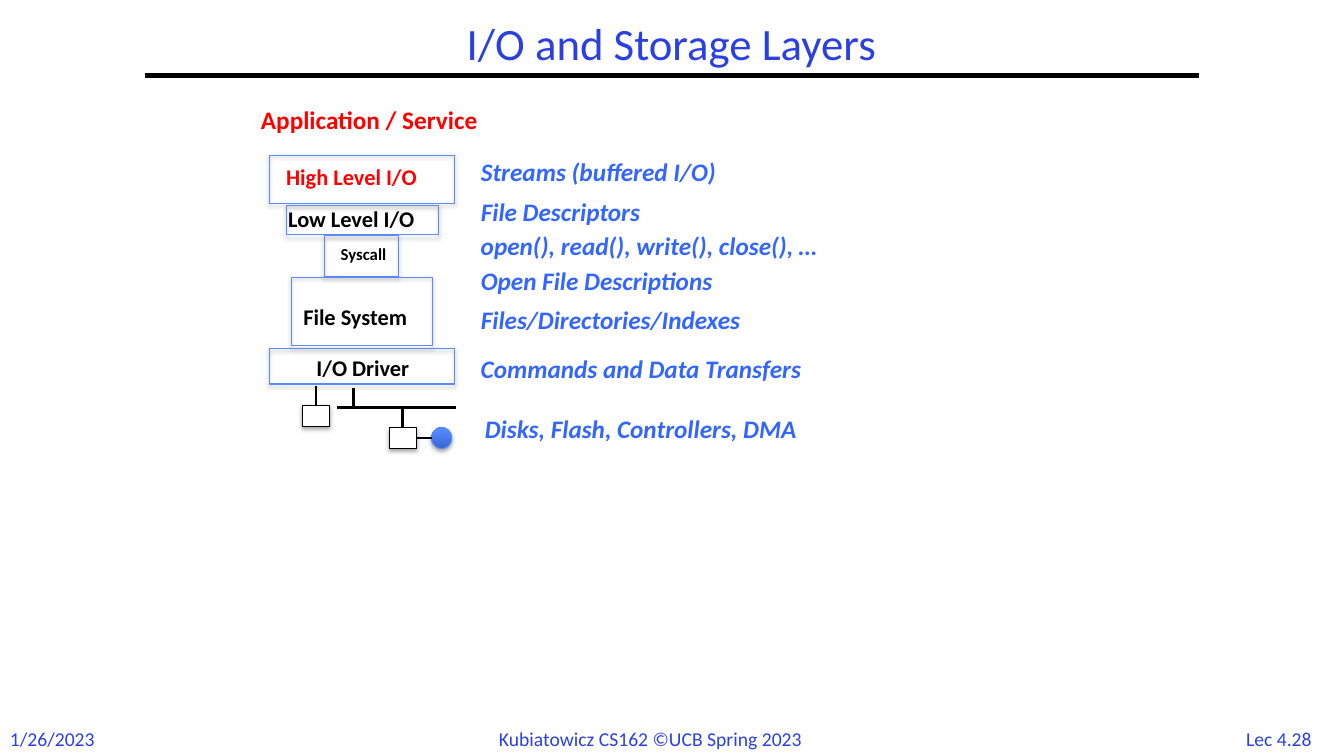
from lxml import etree
from pptx import Presentation
from pptx.dml.color import RGBColor
from pptx.enum.shapes import MSO_CONNECTOR, MSO_SHAPE
from pptx.enum.text import MSO_ANCHOR, MSO_AUTO_SIZE, PP_ALIGN
from pptx.oxml import parse_xml
from pptx.oxml.ns import qn
from pptx.util import Inches, Pt

COLORS = {"title": "2A40E2", "note": "3366FF", "red": "FF0000", "black": "000000",
          "white": "FFFFFF", "outline": "5B8AFB", "disk_dark": "3764CE",
          "disk_light": "5487FF"}
FONT = "Calibri"

TITLE = "I/O and Storage Layers"
# text, left, top, width, height, alignment
FOOTERS = [
    ("1/26/2023", 0, 7.16, 1.07, 0.34, PP_ALIGN.LEFT),
    ("Kubiatowicz CS162 ©UCB Spring 2023", 4.85, 7.16, 3.63, 0.34, PP_ALIGN.LEFT),
    ("Lec 4.28", 12.2, 7.16, 0.97, 0.33, PP_ALIGN.CENTER),
]
# label, size, colour, label place, box place
LAYERS = [
    ("High Level I/O", 16, "red", (2.74, 1.57, 1.76, 0.37), (2.67, 1.54, 1.84, 0.48)),
    ("Low Level I/O", 16, "black", (2.76, 1.99, 1.71, 0.37), (2.84, 2.04, 1.51, 0.29)),
    ("Syscall", 12, "black", (3.28, 2.37, 0.78, 0.3), (3.22, 2.34, 0.73, 0.4)),
    ("File System", 16, "black", (2.91, 2.96, 1.45, 0.37), (2.89, 2.75, 1.4, 0.68)),
    ("I/O Driver", 16, "black", (3.04, 3.46, 1.22, 0.37), (2.67, 3.46, 1.84, 0.35)),
]
# text, left, top, width
NOTES = [
    ("Streams (buffered I/O)", 4.67, 1.5, 2.85),
    ("File Descriptors", 4.67, 1.9, 2.11),
    ("open(), read(), write(), close(), …", 4.67, 2.24, 4.06),
    ("Open File Descriptions", 4.67, 2.58, 2.95),
    ("Files/Directories/Indexes", 4.67, 2.97, 3.18),
    ("Commands and Data Transfers", 4.67, 3.46, 3.93),
    ("Disks, Flash, Controllers, DMA", 4.71, 4.05, 3.88),
]
BUS_Y = 4.04
STUB = 0.19
DEVICE_W, DEVICE_H = 0.27, 0.21
DEVICE = (3.0, 4.02)
CONTROLLER = (3.86, 4.24)
DISK = (4.28, 4.24, 0.2, 0.21)

SHADOW = (
    '<a:effectLst xmlns:a="http://schemas.openxmlformats.org/drawingml/2006/main">'
    '<a:outerShdw blurRad="39370" dist="22860" dir="5400000" rotWithShape="0">'
    '<a:srgbClr val="000000"><a:alpha val="35000"/></a:srgbClr>'
    '</a:outerShdw></a:effectLst>')

prs = Presentation()
prs.slide_width, prs.slide_height = Inches(13.33), Inches(7.5)
slide = prs.slides.add_slide(prs.slide_layouts[6])


def rgb(name):
    return RGBColor.from_string(COLORS[name])


def add_text(text, place, size, color, bold=False, italic=False, align=PP_ALIGN.LEFT):
    sp = slide.shapes.add_textbox(*map(Inches, place))
    tf = sp.text_frame
    tf.word_wrap = False
    tf.auto_size = MSO_AUTO_SIZE.SHAPE_TO_FIT_TEXT
    p = tf.paragraphs[0]
    p.text, p.alignment = text, align
    font = p.runs[0].font
    font.name, font.size, font.bold, font.italic = FONT, Pt(size), bold, italic
    font.color.rgb = rgb(color)
    return tf


def add_box(place, outline, fill=None, kind=MSO_SHAPE.RECTANGLE):
    """Add an outlined shape with a soft shadow; no fill unless one is named."""
    sp = slide.shapes.add_shape(kind, *map(Inches, place))
    if fill:
        sp.fill.solid()
        sp.fill.fore_color.rgb = rgb(fill)
    else:
        sp.fill.background()
    sp.line.color.rgb = rgb(outline)
    sp.line.width = Pt(0.75)
    sp.shadow.inherit = False
    sp_pr = sp._element.spPr
    sp_pr.replace(sp_pr.find(qn("a:effectLst")), parse_xml(SHADOW))
    return sp


def add_line(x1, y1, x2, y2, width=2):
    line = slide.shapes.add_connector(
        MSO_CONNECTOR.STRAIGHT, *map(Inches, (x1, y1, x2, y2)))
    line.line.color.rgb = rgb("black")
    line.line.width = Pt(width)
    etree.SubElement(line._element.spPr, qn("a:effectLst"))
    return line


def add_device(place, stub_top):
    """Add a small white device box hanging from a vertical line."""
    left, top = place
    box = add_box((left, top, DEVICE_W, DEVICE_H), "black", "white")
    middle = left + DEVICE_W / 2
    add_line(middle, stub_top, middle, top).end_connect(box, 0)
    return box


add_line(1.44, 0.75, 11.89, 0.75, 3)
title = add_text(TITLE, (1.44, 0.17, 10.44, 0.58), 32, "title", align=PP_ALIGN.CENTER)
title.word_wrap = True
title.auto_size = MSO_AUTO_SIZE.NONE
title.vertical_anchor = MSO_ANCHOR.MIDDLE
title.paragraphs[0].line_spacing = 0.9

for text, *place, align in FOOTERS:
    add_text(text, place, 14, "title", align=align)

add_text("Application / Service", (2.49, 0.99, 2.68, 0.4), 18, "red", bold=True)
for label, size, color, label_place, box_place in LAYERS:
    add_text(label, label_place, size, color, bold=True)
    add_box(box_place, "outline")
for text, left, top, width in NOTES:
    add_text(text, (left, top, width, 0.4), 18, "note", bold=True, italic=True)

add_line(3.34, BUS_Y, 4.52, BUS_Y)
add_line(3.51, BUS_Y - STUB, 3.51, BUS_Y)
add_device(DEVICE, DEVICE[1] - STUB)
controller = add_device(CONTROLLER, BUS_Y)

disk = add_box(DISK, "outline", kind=MSO_SHAPE.OVAL)
disk.fill.gradient()
disk.fill.gradient_angle = 90
for stop, color, position in zip(disk.fill.gradient_stops,
                                 ("disk_dark", "disk_light"), (0, 0.8)):
    stop.color.rgb = rgb(color)
    stop.position = position

cable_y = CONTROLLER[1] + DEVICE_H / 2
cable = add_line(CONTROLLER[0] + DEVICE_W, cable_y, DISK[0], cable_y)
cable.begin_connect(controller, 3)

prs.save("out.pptx")
